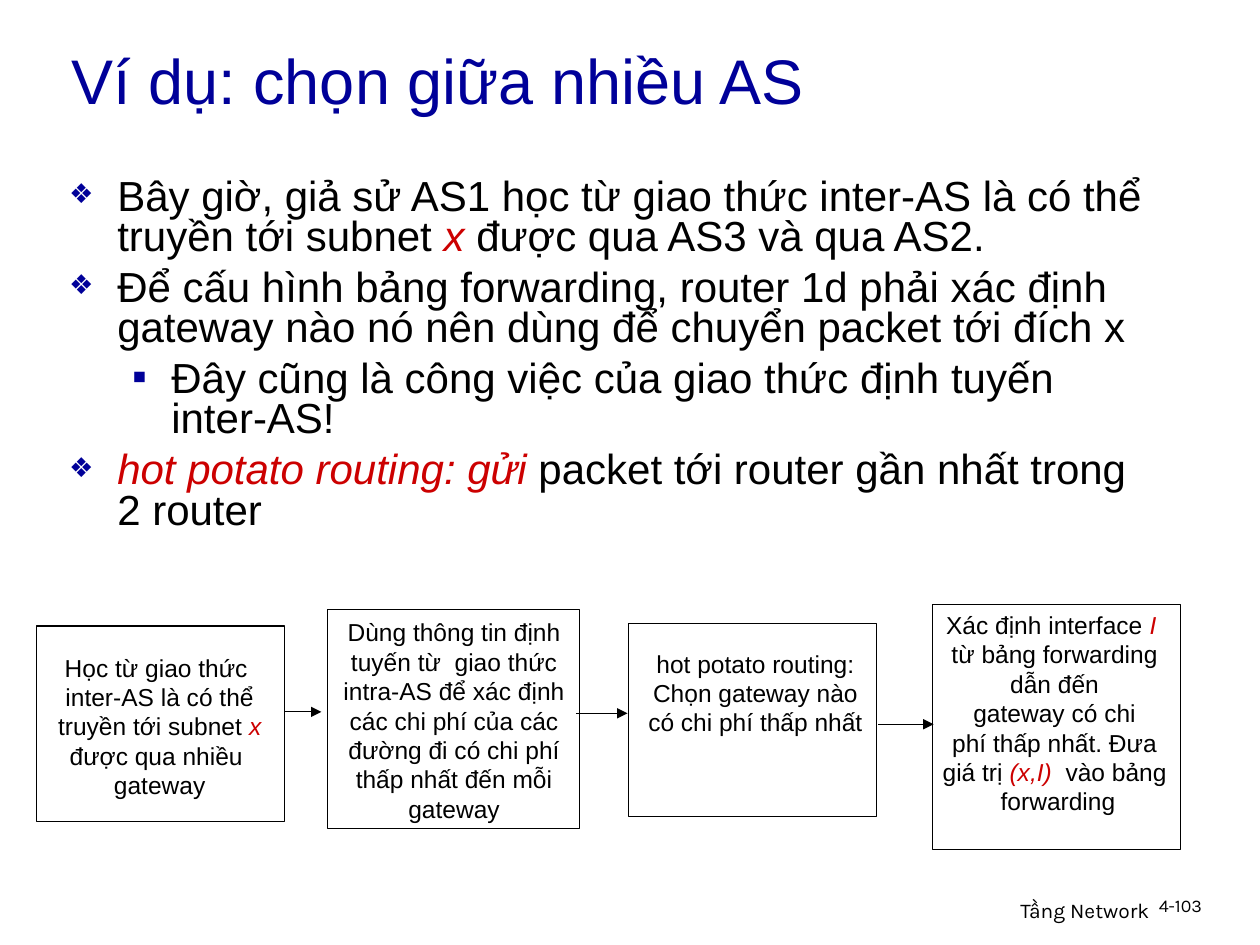
from pptx import Presentation
from pptx.dml.color import RGBColor
from pptx.enum.shapes import MSO_CONNECTOR as Connector, MSO_SHAPE as Shape
from pptx.enum.text import MSO_ANCHOR as Anchor, MSO_AUTO_SIZE as AutoSize, PP_ALIGN as Align
from pptx.oxml.ns import qn
from pptx.util import Cm, Pt
from lxml.etree import SubElement
from dataclasses import dataclass


@dataclass(frozen=True)
class Theme:
    ink: str = "000000"
    navy: str = "000099"
    red: str = "CC0000"
    face: str = "Arial"
    footer_face: str = "Karla"
    title: float = 36
    body: float = 24
    step: float = 14
    footer: float = 12
    number: float = 10.2
    line: float = 0.74


theme = Theme()

TITLE = "Ví dụ: chọn giữa nhiều AS"
POINTS = [
    (0, "Bây giờ, giả sử AS1 học từ giao thức inter-AS là có thể truyền tới subnet "
        "*x *được qua AS3 và qua AS2."),
    (0, "Để cấu hình bảng forwarding, router 1d phải xác định gateway nào nó nên dùng "
        "để chuyển packet tới đích x"),
    (1, "Đây cũng là công việc của giao thức định tuyến inter-AS!"),
    (0, "*hot potato routing: gửi *packet tới router gần nhất trong 2 router"),
]
BULLETS = [
    dict(char="❖", size=65, margin=0.97, hang=0.97),
    dict(char="▪", size=100, margin=2.06, hang=0.79),
]
STEPS = [
    dict(box=(0.74, 12.62, 5, 3.94), label=(0.86, 13.03, 4.72, 3.81), wrap=False,
         lines=["Học từ giao thức ", "inter-AS là có thể", "truyền tới subnet *x *",
                "được qua nhiều ", "gateway"]),
    dict(box=(6.6, 12.29, 5.08, 4.42), label=(6.45, 12.32, 5.41, 4.42), wrap=True,
         lines=["Dùng thông tin định tuyến từ  giao thức intra-AS để xác định các chi phí "
                "của các đường đi có chi phí thấp nhất đến mỗi gateway"]),
    dict(box=(12.67, 12.57, 5, 3.89), label=(12.73, 12.95, 5, 2.03), wrap=True,
         lines=["hot potato routing:", "Chọn gateway nào có chi phí thấp nhất"]),
    dict(box=(18.8, 12.19, 5, 4.93), label=(18.75, 12.17, 5.16, 4.42), wrap=False,
         lines=["Xác định interface* I  *", "từ bảng forwarding ", "dẫn đến ",
                "gateway có chi ", "phí thấp nhất. Đưa ", "giá trị *(x,I)  *vào bảng ",
                "forwarding"]),
]
ARROWS = [(5.74, 6.48, 14.35), (11.61, 12.65, 14.38), (17.7, 18.82, 14.6)]
FOOTERS = [
    ("Tầng Network", (15.37, 17.96, 8.05, 0.79), theme.footer, Align.RIGHT, 1.0),
    ("4-103", (23.11, 17.96, 1.88, 0.76), theme.number, Align.LEFT, 0.9),
]


def rgb(color):
    return RGBColor.from_string(color)


def lengths(values):
    return [Cm(value) for value in values]


def place(part, frame):
    part.left, part.top, part.width, part.height = lengths(frame)


def write(paragraph, marked, size, color=theme.ink, face=theme.face):
    paragraph.font.size, paragraph.font.name = Pt(size), face
    for index, piece in enumerate(marked.split("*")):
        if piece:
            run = paragraph.add_run()
            run.text = piece
            emphasis = index % 2 == 1
            run.font.italic = emphasis
            run.font.color.rgb = rgb(theme.red if emphasis else color)


def paragraphs(frame, count):
    return [frame.paragraphs[0]] + [frame.add_paragraph() for _ in range(count - 1)]


def set_bullet(paragraph, char, size, margin, hang):
    props = paragraph._p.get_or_add_pPr()
    props.set("marL", str(Cm(margin)))
    props.set("indent", str(-Cm(hang)))
    SubElement(SubElement(props, qn("a:buClr")), qn("a:srgbClr"), val=theme.navy)
    SubElement(props, qn("a:buSzPct"), val=str(size * 1000))
    SubElement(props, qn("a:buFont"), typeface=theme.face)
    SubElement(props, qn("a:buChar"), char=char)


def add_label(frame, lines, size, align, wrap=True, face=theme.face, spacing=1.0):
    label = slide.shapes.add_textbox(*lengths(frame)).text_frame
    label.word_wrap = wrap
    for paragraph, line in zip(paragraphs(label, len(lines)), lines):
        paragraph.alignment, paragraph.line_spacing = align, spacing
        write(paragraph, line, size, face=face)


def add_step(box, label, wrap, lines):
    outline = slide.shapes.add_shape(Shape.RECTANGLE, *lengths(box))
    outline.shadow.inherit = False
    outline.fill.background()
    outline.line.color.rgb, outline.line.width = rgb(theme.ink), Pt(theme.line)
    add_label(label, lines, theme.step, Align.CENTER, wrap)


def add_arrow(start, end, y):
    arrow = slide.shapes.add_connector(Connector.STRAIGHT, *lengths((start, y, end, y)))
    arrow.line.color.rgb, arrow.line.width = rgb(theme.ink), Pt(theme.line)
    SubElement(arrow.line._get_or_add_ln(), qn("a:tailEnd"), type="triangle")
    SubElement(arrow._element.spPr, qn("a:effectLst"))


deck = Presentation()
deck.slide_width, deck.slide_height = Cm(25.4), Cm(19.05)
slide = deck.slides.add_slide(deck.slide_layouts[1])
heading, body = slide.placeholders

place(heading, (1.19, 0, 24.36, 3.18))
heading.text_frame.auto_size = AutoSize.NONE
heading.text_frame.vertical_anchor = Anchor.MIDDLE
heading_line = heading.text_frame.paragraphs[0]
heading_line.alignment = Align.LEFT
write(heading_line, TITLE, theme.title, theme.navy)

place(body, (1.14, 3.48, 22.2, 7.65))
body.text_frame.auto_size = AutoSize.NONE
for paragraph, (level, point) in zip(paragraphs(body.text_frame, len(POINTS)), POINTS):
    paragraph.level = level
    set_bullet(paragraph, **BULLETS[level])
    paragraph.line_spacing, paragraph.space_before = 0.8, Pt(6)
    write(paragraph, point, theme.body)

for step in STEPS:
    add_step(**step)
for arrow in ARROWS:
    add_arrow(*arrow)
for text, frame, size, align, spacing in FOOTERS:
    add_label(frame, [text], size, align, face=theme.footer_face, spacing=spacing)

deck.save("out.pptx")
